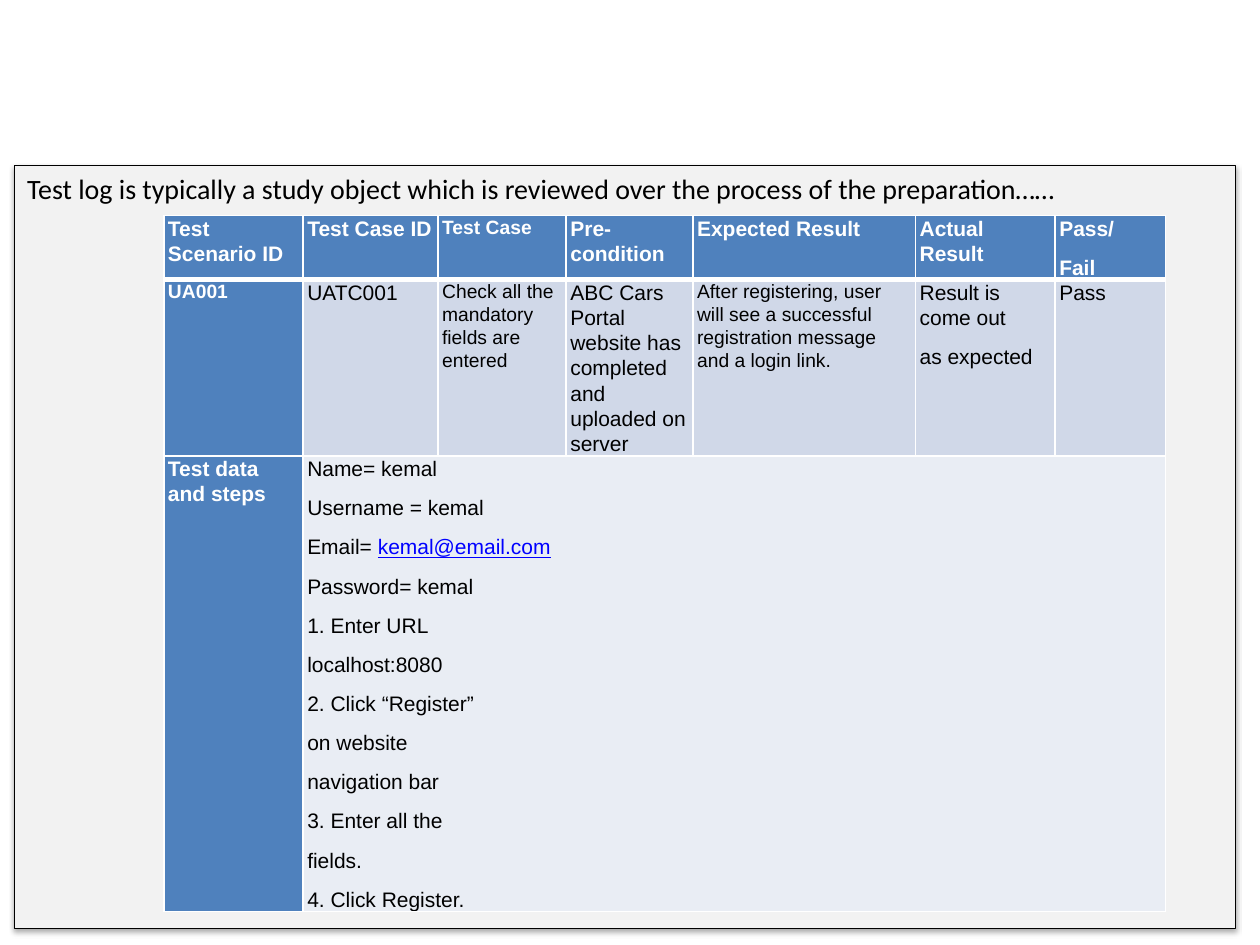
from lxml import etree
from pptx import Presentation
from pptx import util as u
from pptx.dml.color import RGBColor
from pptx.enum import shapes, text
from pptx.oxml.ns import qn

Pt = u.Pt
WHITE, BLACK, BLUE = "FFFFFF", "000000", "4F81BD"
PANEL, BAND, PALE, LINK = "F2F2F2", "D0D8E8", "E9EDF4", "0000FF"

COLUMNS = [79.6, 77.1, 73.3, 72.4, 127.2, 79.8, 63.2]
ROWS = [33.8, 64.8, 246.2]
SMALL_CELLS = {(0, 2), (1, 0), (1, 2), (1, 4)}  # set in 11 pt

LOG = [
    ["Test Scenario ID", "Test Case ID", "Test Case", "Pre-condition",
     "Expected Result", "Actual Result", "Pass/\nFail"],
    ["UA001", "UATC001", "Check all the mandatory fields are entered",
     "ABC Cars Portal website has completed and uploaded on server",
     "After registering, user will see a successful registration message "
     "and a login link.",
     "Result is come out\nas expected", "Pass"],
    ["Test data and steps",
     "Name= kemal\nUsername = kemal\nEmail= |kemal@email.com\n"
     "Password= kemal\n1. Enter URL\nlocalhost:8080\n2. Click “Register”\n"
     "on website\nnavigation bar\n3. Enter all the\nfields.\n"
     "4. Click Register."],
]


def rgb(value):
    return RGBColor.from_string(value)


def add_text(tf, content, font="Arial", size=12, color=BLACK, bold=False,
             align=None, before=None, after=8, spacing=None):
    """Write one paragraph per line; the part after a bar is a link."""
    tf.word_wrap = True
    for i, line in enumerate(content.split("\n")):
        p = tf.paragraphs[0] if i == 0 else tf.add_paragraph()
        p.alignment = align
        p.line_spacing = spacing
        p.space_after = Pt(after)
        if before is not None:
            p.space_before = Pt(before)
        for k, part in enumerate(line.split("|")):
            r = p.add_run()
            r.text = part
            r.font.name = font
            r.font.size = Pt(size)
            r.font.bold = bold
            r.font.underline = k > 0
            r.font.color.rgb = rgb(LINK if k else color)


def add_shadow(sp, color, alpha, blur, dist, angle):
    sp.shadow.inherit = False
    effects = sp._element.spPr.find(qn("a:effectLst"))
    shadow = etree.SubElement(
        effects, qn("a:outerShdw"), blurRad=str(Pt(blur)), dist=str(Pt(dist)),
        dir=str(angle * 60000), rotWithShape="0")
    clr = etree.SubElement(shadow, qn("a:srgbClr"), val=color)
    etree.SubElement(clr, qn("a:alpha"), val=str(alpha * 1000))


def set_borders(cell, color, **widths):
    """Draw the four sides ahead of the cell's fill."""
    tcPr = cell._tc.get_or_add_tcPr()
    for i, side in enumerate("LRTB"):
        ln = etree.Element(qn("a:ln" + side), w=str(Pt(widths.get(side, 1))))
        fill = etree.SubElement(ln, qn("a:solidFill"))
        etree.SubElement(fill, qn("a:srgbClr"), val=color)
        tcPr.insert(i, ln)


def add_panel(s, x, y, w, h):
    sp = s.shapes.add_shape(shapes.MSO_SHAPE.RECTANGLE,
                            Pt(x), Pt(y), Pt(w), Pt(h))
    sp.fill.solid()
    sp.fill.fore_color.rgb = rgb(PANEL)
    sp.line.color.rgb = rgb(BLACK)
    sp.line.width = Pt(0.75)
    add_shadow(sp, BLACK, alpha=35, blur=3.1, dist=1.8, angle=90)
    sp.text_frame.vertical_anchor = text.MSO_ANCHOR.TOP
    add_text(sp.text_frame,
             "Test log is typically a study object which is reviewed over "
             "the process of the preparation……",
             font="Calibri", size=16, align=text.PP_ALIGN.JUSTIFY,
             before=6, after=6)


def add_log_table(s, x, y, w, h):
    table = s.shapes.add_table(len(ROWS), len(COLUMNS),
                               Pt(x), Pt(y), Pt(w), Pt(h)).table
    table.first_row = table.horz_banding = False
    for column, width in zip(table.columns, COLUMNS):
        column.width = Pt(width)
    for row, height in zip(table.rows, ROWS):
        row.height = Pt(height)

    # The steps span every column after the first
    table.cell(2, 1).merge(table.cell(2, len(COLUMNS) - 1))

    for i in range(len(ROWS)):
        for j in range(len(COLUMNS)):
            cell = table.cell(i, j)
            heading = i == 0 or j == 0
            cell.margin_left = cell.margin_right = Pt(2.4)
            cell.margin_top = cell.margin_bottom = 0
            cell.fill.solid()
            cell.fill.fore_color.rgb = rgb(
                BLUE if heading else BAND if i == 1 else PALE)
            # Thick rule under the header row
            set_borders(cell, WHITE, T=3 if i == 1 else 1,
                        B=3 if i == 0 else 1)
            if not cell.is_spanned:
                add_text(cell.text_frame, LOG[i][j], spacing=1.07,
                         size=11 if (i, j) in SMALL_CELLS else 12,
                         color=WHITE if heading else BLACK, bold=heading)


def main():
    prs = Presentation()
    prs.slide_width, prs.slide_height = Pt(720), Pt(540)
    s = prs.slides.add_slide(prs.slide_layouts[6])
    add_panel(s, 8.4, 94.5, 697.8, 436.3)
    add_log_table(s, 93.6, 123.1, sum(COLUMNS), sum(ROWS))
    prs.save("out.pptx")


if __name__ == "__main__":
    main()
